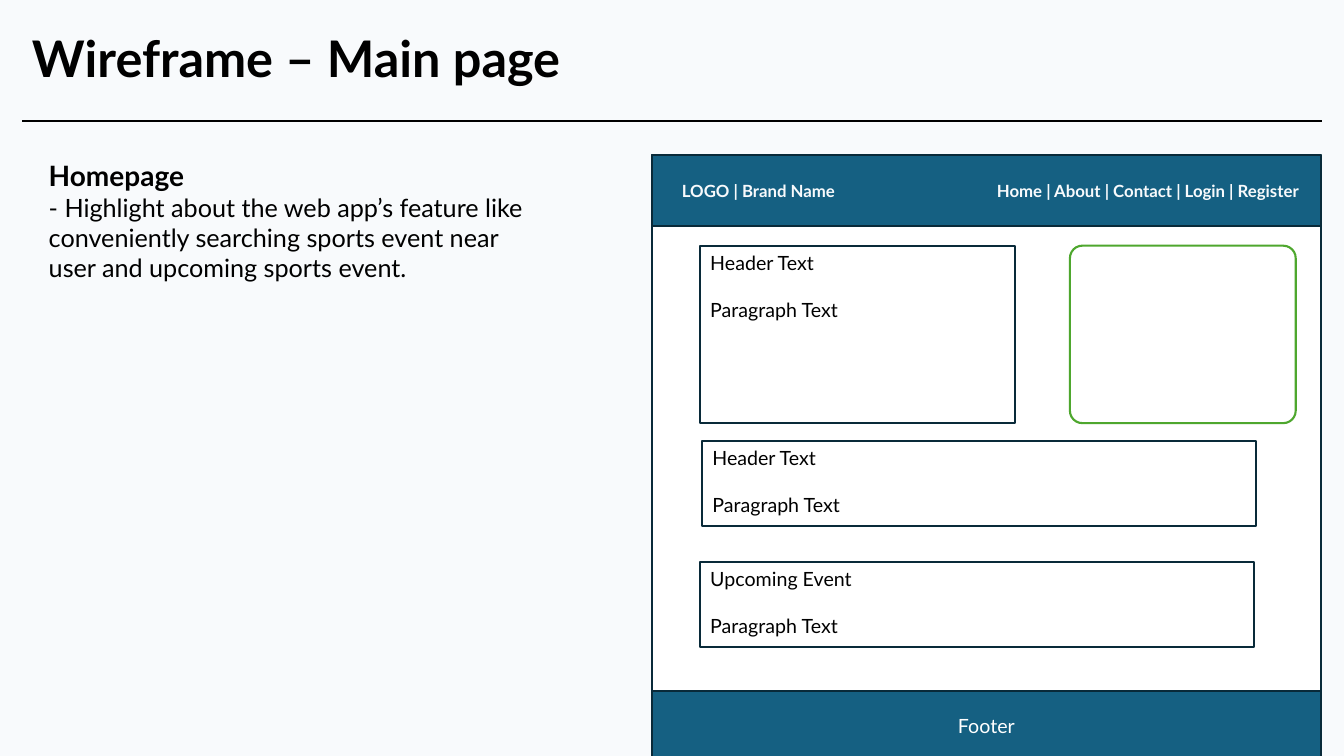
import pptx
import pptx.util
import pptx.dml.color
import pptx.enum.shapes
import pptx.enum.text
import pptx.oxml.ns
import lxml.etree

PX = 9525  # EMU in one px, 96 px to the inch
THEME = {
    "font": "Lato",
    "backdrop": "F8FAFC", "ink": "000000", "paper": "FFFFFF",
    "bar": "156082", "outline": "092A39", "accent": "4EA72E",
    "title": 36, "heading": 20, "body": 18, "block": 14, "nav": 12,
    "stroke": 1.5, "block_gap": 16.8,
}
SHAPE = pptx.enum.shapes.MSO_SHAPE
ANCHOR = pptx.enum.text.MSO_ANCHOR
ALIGN = pptx.enum.text.PP_ALIGN


def write(holder, lines, color, anchor=ANCHOR.TOP, align=ALIGN.LEFT, gap=0):
    """Fill a shape with paragraphs given as (text, size name, bold)."""
    frame = holder.text_frame
    frame.word_wrap = True
    frame.vertical_anchor = anchor
    for index, (text, size, bold) in enumerate(lines):
        paragraph = frame.add_paragraph() if index else frame.paragraphs[0]
        paragraph.alignment = align
        paragraph.space_before = pptx.util.Pt(gap if index else 0)
        run = paragraph.add_run()
        run.text = text
        run.font.name = THEME["font"]
        run.font.size = pptx.util.Pt(THEME[size])
        run.font.bold = bold
        run.font.color.rgb = pptx.dml.color.RGBColor.from_string(THEME[color])


def add_panel(box, fill, outline="outline", kind=SHAPE.RECTANGLE):
    panel = slide.shapes.add_shape(kind, *(n * PX for n in box))
    panel.shadow.inherit = False
    panel.fill.solid()
    panel.fill.fore_color.rgb = pptx.dml.color.RGBColor.from_string(THEME[fill])
    panel.line.color.rgb = pptx.dml.color.RGBColor.from_string(THEME[outline])
    panel.line.width = pptx.util.Pt(THEME["stroke"])
    return panel


deck = pptx.Presentation()
deck.slide_width = 1280 * PX
deck.slide_height = 720 * PX
slide = deck.slides.add_slide(deck.slide_layouts[6])
slide.background.fill.solid()
slide.background.fill.fore_color.rgb = pptx.dml.color.RGBColor.from_string(THEME["backdrop"])

# Rule under the title
title_rule = slide.shapes.add_connector(
    pptx.enum.shapes.MSO_CONNECTOR.STRAIGHT, 21 * PX, 115 * PX, 1259 * PX, 115 * PX)
title_rule.line.color.rgb = pptx.dml.color.RGBColor.from_string(THEME["ink"])
title_rule.line.width = pptx.util.Pt(THEME["stroke"])
lxml.etree.SubElement(title_rule._element.spPr, pptx.oxml.ns.qn("a:effectLst"))

# Page frame with its top bar and footer
page_left, page_top, page_width, bar_height = 621, 148, 637, 67
add_panel((page_left, page_top, page_width, 574), "paper")
add_panel((page_left, page_top, page_width, bar_height), "bar")
footer = add_panel((page_left, 658, page_width, bar_height), "bar")
write(footer, [("Footer", "block", False)], "paper", ANCHOR.MIDDLE, ALIGN.CENTER)

# Free text: title, description and the two halves of the top bar
for box, color, lines in [
    ((21, 21, 589, 68), "ink", [("Wireframe – Main page", "title", True)]),
    ((37, 146, 480, 130), "ink", [
        ("Homepage", "heading", True),
        ("- Highlight about the web app’s feature like conveniently searching "
         "sports event near user and upcoming sports event.", "body", False)]),
    ((640, 167, 167, 29), "backdrop", [("LOGO | Brand Name", "nav", True)]),
    ((940, 167, 319, 29), "backdrop",
     [("Home | About | Contact | Login | Register", "nav", True)]),
]:
    write(slide.shapes.add_textbox(*(n * PX for n in box)), lines, color)

# Content blocks of the page
image_area = add_panel((1019, 234, 215, 169), "paper", "accent", SHAPE.ROUNDED_RECTANGLE)
image_area.adjustments[0] = 0.07
for box, heading in [
    ((667, 234, 300, 169), "Header Text"),
    ((669, 420, 527, 81), "Header Text"),
    ((667, 535, 527, 81), "Upcoming Event"),
]:
    write(add_panel(box, "paper"),
          [(heading, "block", False), ("Paragraph Text", "block", False)],
          "ink", gap=THEME["block_gap"])

deck.save("out.pptx")
